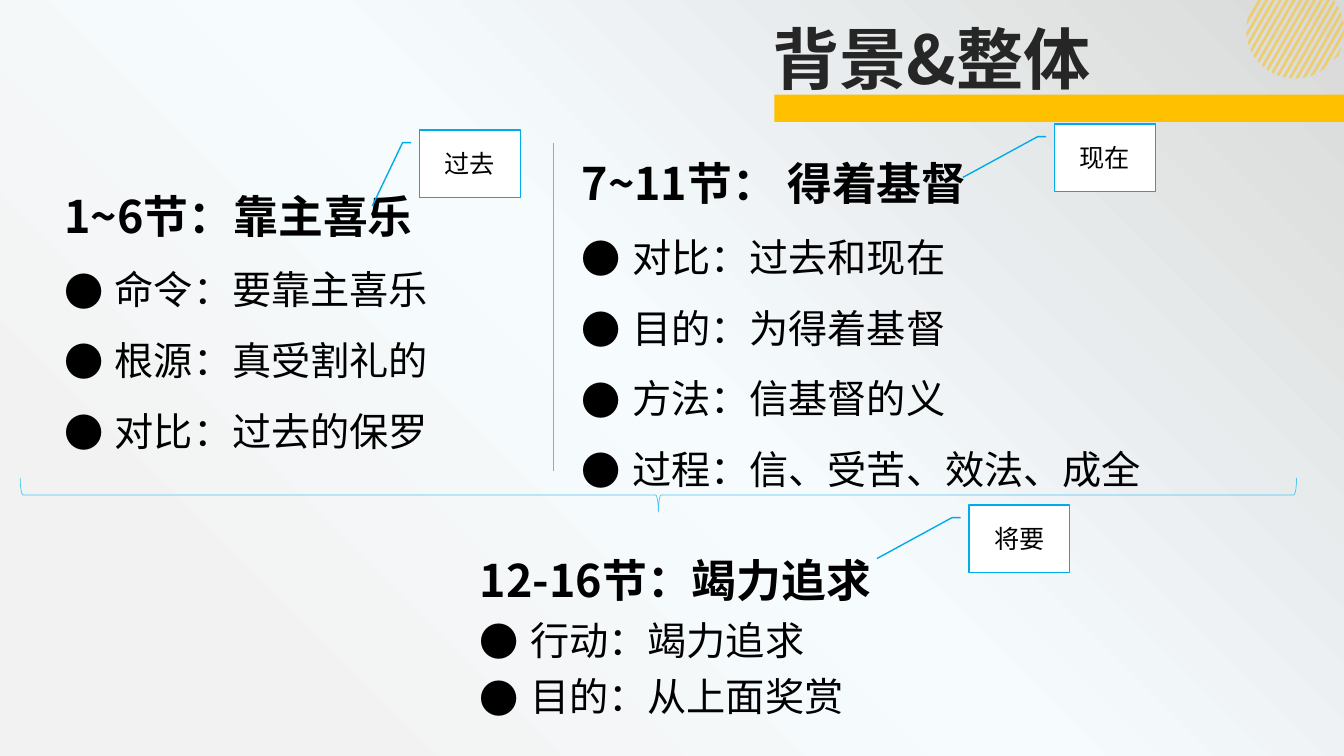
from math import sqrt
from lxml import etree
from pptx import Presentation
from pptx.dml.color import RGBColor
from pptx.enum.shapes import MSO_CONNECTOR, MSO_SHAPE
from pptx.enum.text import MSO_ANCHOR, MSO_AUTO_SIZE, PP_ALIGN
from pptx.oxml import parse_xml
from pptx.oxml.ns import qn
from pptx.util import Inches, Pt

RECT = MSO_SHAPE.RECTANGLE
BRACE = MSO_SHAPE.RIGHT_BRACE
CALL = MSO_SHAPE.LINE_CALLOUT_2
LINE = MSO_CONNECTOR.STRAIGHT
MID = MSO_ANCHOR.MIDDLE
MIDDLE = PP_ALIGN.CENTER
GROW = MSO_AUTO_SIZE.SHAPE_TO_FIT_TEXT

FACE = "Noto Sans CJK SC"
HUES = {"gold": "FFC000", "ink": "000000", "title": "262626", "white": "FFFFFF",
        "blue": "00ABE9", "pale": "4CC5F0"}
STOPS = [(15, "F2F2F2", 100), (50, "F6FCFE", 27), (100, "D9D9D9", 100)]

TITLE = ("背景&整体", (7.56, 0.12, 5.77, 0.91))
PARTS = [
    ((4.66, 5.33, 5.69, 1.85), "12-16节：竭力追求", 1.2, 1.2,
     ["行动：竭力追求", "目的：从上面奖赏"]),
    ((0.54, 1.82, 5.12, 2.69), "1~6节：靠主喜乐", 1.0, 1.5,
     ["命令：要靠主喜乐", "根源：真受割礼的", "对比：过去的保罗"]),
    ((5.67, 1.5, 5.79, 3.4), "7~11节： 得着基督", 1.0, 1.5,
     ["对比：过去和现在", "目的：为得着基督", "方法：信基督的义", "过程：信、受苦、效法、成全"]),
]
NEAR = (1.125, -0.467)
FAR = (0.793, -0.911)
NOTES = [("过去", 4.16, 1.29, NEAR), ("现在", 10.46, 1.23, FAR), ("将要", 9.61, 5.01, FAR)]

DISC = {"x": 12.845, "y": 0.295, "r": 0.485}
STRIPES, FIRST, STEP, THICK, LEAN = 17, 12.48, 0.068, 0.03, 0.577

deck = Presentation()
deck.slide_width, deck.slide_height = Inches(13.33), Inches(7.5)
slide = deck.slides.add_slide(deck.slide_layouts[6])
shapes = slide.shapes


def hue(name):
    return RGBColor.from_string(HUES[name])


def place(box):
    return [Inches(v) for v in box]


def backdrop():
    stops = "".join(
        f'<a:gs pos="{pos * 1000}"><a:srgbClr val="{tone}">'
        f'<a:alpha val="{seen * 1000}"/></a:srgbClr></a:gs>'
        for pos, tone, seen in STOPS)
    slide.element.cSld.insert(0, parse_xml(
        '<p:bg xmlns:p="http://schemas.openxmlformats.org/presentationml/2006/main" '
        'xmlns:a="http://schemas.openxmlformats.org/drawingml/2006/main"><p:bgPr>'
        f'<a:gradFill rotWithShape="1"><a:gsLst>{stops}</a:gsLst><a:path path="circle">'
        '<a:fillToRect t="100000" r="100000"/></a:path></a:gradFill>'
        '<a:effectLst/></p:bgPr></p:bg>'))


def paint(shape, fill=None, line=None, width=1):
    shape.shadow.inherit = False
    if fill:
        shape.fill.solid()
        shape.fill.fore_color.rgb = hue(fill)
    else:
        shape.fill.background()
    if line:
        shape.line.color.rgb = hue(line)
        shape.line.width = Pt(width)
    else:
        shape.line.fill.background()


def write(para, words, size, bold=False, tone="ink"):
    run = para.add_run()
    run.text = words
    font = run.font
    font.size, font.bold, font.name = Pt(size), bold, FACE
    font.color.rgb = hue(tone)
    etree.SubElement(run._r.get_or_add_rPr(), qn("a:ea")).set("typeface", FACE)


def frame(box):
    text = shapes.add_textbox(*place(box)).text_frame
    text.word_wrap = True
    text.auto_size = GROW
    return text


def bullet(para):
    props = para._p.get_or_add_pPr()
    props.set("marL", str(Inches(0.5)))
    props.set("indent", str(-Inches(0.5)))
    etree.SubElement(props, qn("a:buFont")).set("typeface", FACE)
    etree.SubElement(props, qn("a:buChar")).set("char", "●")


def chord(start):
    gap = start - DISC["x"]
    lead = 1 + LEAN ** 2
    half = LEAN * gap + DISC["y"]
    rest = gap ** 2 + DISC["y"] ** 2 - DISC["r"] ** 2
    root = sqrt(max(0, half ** 2 - lead * rest))
    ends = [max(0, (half - root) / lead), (half + root) / lead]
    return [(Inches(start - LEAN * y), Inches(y)) for y in ends]


def stripes():
    for num in range(STRIPES):
        left = FIRST + num * STEP
        top, low = chord(left)
        high, base = chord(left + THICK)
        form = shapes.build_freeform(*top)
        form.add_line_segments([high, base, low], close=True)
        stripe = form.convert_to_shape()
        paint(stripe, "gold")
        tone = stripe.fill._xPr.find(".//" + qn("a:srgbClr"))
        etree.SubElement(tone, qn("a:alpha")).set("val", "50000")


def main():
    backdrop()
    stripes()
    paint(shapes.add_shape(RECT, *place((7.68, 0.94, 5.65, 0.27))), "gold")
    words, box = TITLE
    write(frame(box).paragraphs[0], words, 48, True, "title")

    for box, head, lead, space, items in PARTS:
        text = frame(box)
        para = text.paragraphs[0]
        para.line_spacing = lead
        write(para, head, 32, True)
        for item in items:
            para = text.add_paragraph()
            para.line_spacing = space
            bullet(para)
            write(para, item, 28)

    rule = shapes.add_connector(LINE, *place((5.49, 1.42, 5.49, 4.67)))
    rule.line.color.rgb = hue("pale")
    rule.line.width = Pt(0.5)
    etree.SubElement(rule._element.spPr, qn("a:effectLst"))

    brace = shapes.add_shape(BRACE, *place((6.36, -1.42, 0.34, 12.66)))
    brace.rotation = 90
    paint(brace, line="pale", width=0.5)

    for words, left, top, tip in NOTES:
        note = shapes.add_shape(CALL, *place((left, top, 1, 0.67)))
        for num, value in enumerate((0.188, -0.083, 0.188, -0.167) + tip):
            note.adjustments[num] = value
        paint(note, "white", "blue")
        note.text_frame.vertical_anchor = MID
        para = note.text_frame.paragraphs[0]
        para.alignment = MIDDLE
        write(para, words, 18)

    deck.save("out.pptx")


if __name__ == "__main__":
    main()
